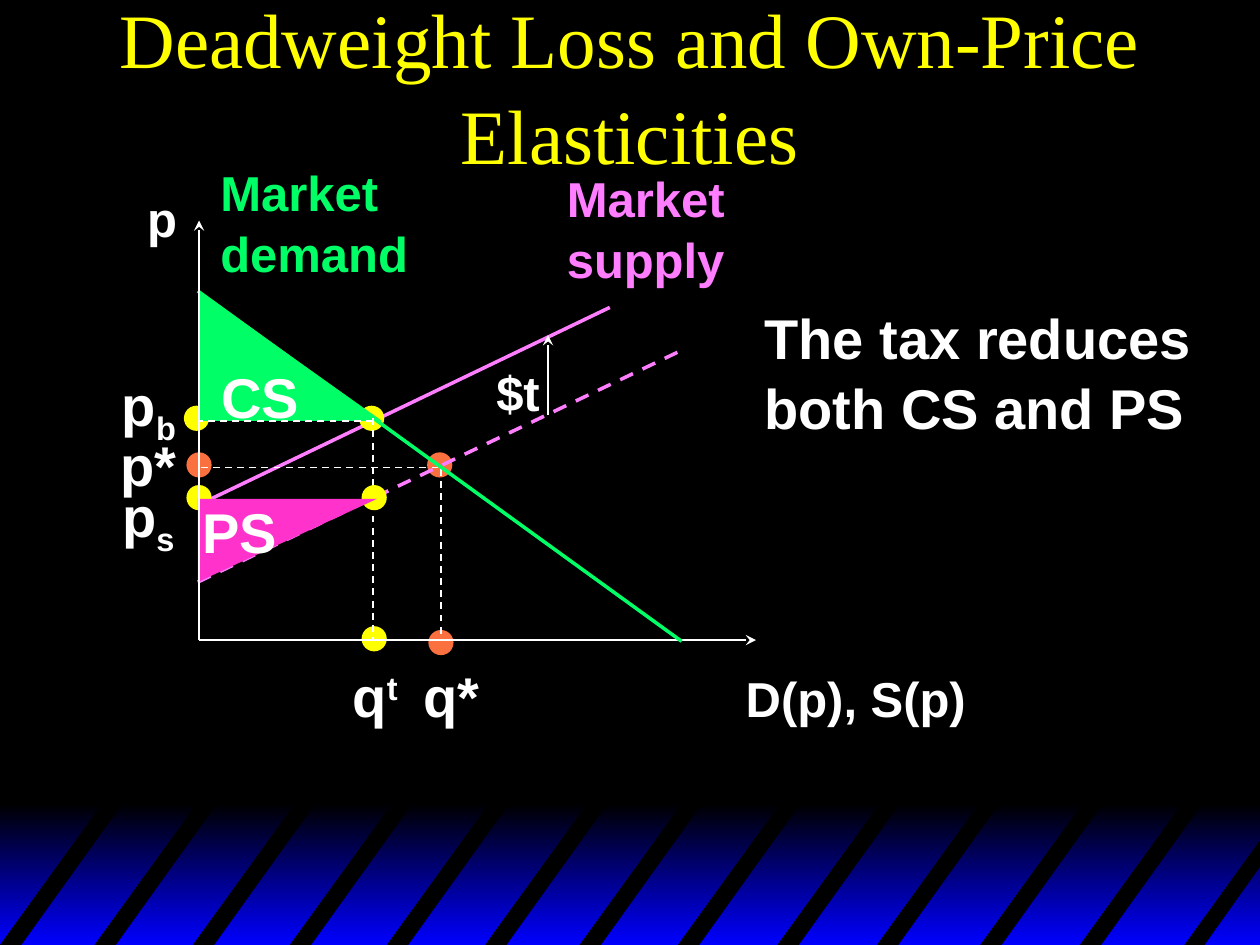
from dataclasses import dataclass

import pptx
import pptx.dml.color
import pptx.enum.dml
import pptx.enum.shapes
import pptx.enum.text
import pptx.oxml.ns
import pptx.util
from lxml import etree
from pptx.util import Inches

SHAPE = pptx.enum.shapes.MSO_SHAPE


@dataclass(frozen=True)
class Theme:
    black: str = "000000"
    blue: str = "0000FF"
    white: str = "FFFFFF"
    yellow: str = "FFFF00"
    orange: str = "FA703F"
    green: str = "00FF66"
    pink: str = "FF7DFF"
    magenta: str = "FF33CC"
    title_font: str = "Times New Roman"
    label_font: str = "Arial"
    title_size: int = 44
    large: int = 32
    small: int = 28
    line_spacing: float = 1.04


THEME = Theme()


@dataclass(frozen=True)
class Dot:
    left: float
    top: float
    color: str = THEME.yellow
    size: float = 0.2


@dataclass(frozen=True)
class Line:
    start: tuple[float, float]
    end: tuple[float, float]
    color: str = THEME.white
    width: float = 1
    dashed: bool = False
    arrow: bool = False


@dataclass(frozen=True)
class Region:
    left: float
    top: float
    width: float
    height: float
    color: str
    rotation: float = 0


@dataclass(frozen=True)
class Label:
    text: str
    left: float
    top: float
    width: float
    height: float = 0.63
    size: int = THEME.large
    color: str = THEME.white
    script: str = ""
    baseline: int = 0


# Diagram parts, from back to front
DIAGRAM = [
    Dot(3.39, 3.59, THEME.orange),
    Dot(1.48, 3.59, THEME.orange),
    Dot(3.4, 5, THEME.orange),
    # Supply with the tax, and the size of the tax
    Line((1.57, 4.01), (4.84, 2.44), THEME.pink, 2),
    Line((4.35, 3.29), (4.35, 2.66), arrow=True),
    Label("$t", 3.84, 2.81, 0.55, 0.57, THEME.small),
    Dot(2.85, 3.22),
    Dot(2.87, 4.97),
    Dot(1.46, 3.22),
    Label("q", 2.7, 5.18, 0.56, script="t", baseline=30),
    Dot(1.48, 3.85),
    # Consumer surplus and the conclusion
    Region(1.58, 2.31, 1.45, 1.03, THEME.green),
    Label("CS", 1.66, 2.81, 0.82),
    Label("The tax reduces\nboth CS and PS", 5.97, 2.34, 3.59, 1.17),
    # Quantity axis and untaxed equilibrium
    Line((1.58, 5.08), (6, 5.08), arrow=True),
    Line((3.5, 3.72), (3.5, 5.09), dashed=True),
    Line((3.48, 3.71), (1.57, 3.71), dashed=True),
    Label("p", 1.07, 1.43, 0.44, 0.57, THEME.small),
    Label("D(p), S(p)", 5.82, 5.24, 1.95, 0.57, THEME.small),
    Label("Market\ndemand", 1.65, 1.22, 1.69, 1.04, THEME.small, THEME.green),
    Label("Market\nsupply", 4.4, 1.27, 1.45, 1.04, THEME.small, THEME.pink),
    # Supply and demand curves
    Line((1.57, 4.62), (5.39, 2.79), THEME.pink, 2, dashed=True),
    Line((1.57, 2.31), (5.41, 5.09), THEME.green, 2),
    Label("p*", 0.86, 3.35, 0.65),
    Label("q*", 3.26, 5.18, 0.65),
    # Taxed equilibrium
    Line((2.96, 3.34), (1.57, 3.34), dashed=True),
    Line((2.96, 3.32), (2.96, 5.09), dashed=True),
    Label("p", 0.87, 2.87, 0.63, 0.71, script="b", baseline=-25),
    Label("p", 0.87, 3.75, 0.62, 0.71, script="s", baseline=-25),
    Dot(2.87, 3.85),
    Line((2.96, 3.97), (1.57, 3.97), dashed=True),
    # Producer surplus and price axis
    Region(1.95, 3.58, 0.66, 1.42, THEME.magenta, 90),
    Label("PS", 1.51, 3.88, 0.8),
    Line((1.58, 5.08), (1.58, 1.75), arrow=True),
]

STRIPE_LEFTS = (0, 0.75, 1.53, 2.3, 3.07, 3.85, 4.6, 5.38, 6.17, 6.96, 7.78, 8.57)


def rgb(color: str) -> pptx.dml.color.RGBColor:
    return pptx.dml.color.RGBColor.from_string(color)


def paint(shape, color: str) -> None:
    shape.fill.solid()
    shape.fill.fore_color.rgb = rgb(color)
    shape.line.fill.background()
    shape.shadow.inherit = False


def draw_stripe(slide, corners: list[tuple[float, float]]) -> None:
    points = [(Inches(x), Inches(y)) for x, y in corners]
    builder = slide.shapes.build_freeform(*points[0])
    builder.add_line_segments(points[1:])
    paint(builder.convert_to_shape(), THEME.black)


def draw_footer(slide) -> None:
    band = slide.shapes.add_shape(SHAPE.RECTANGLE, 0, Inches(6.38), Inches(10), Inches(1.12))
    paint(band, THEME.black)
    band.fill.gradient()
    band.fill.gradient_angle = 270
    for stop, color in zip(band.fill.gradient_stops, (THEME.black, THEME.blue)):
        stop.color.rgb = rgb(color)
    for left in STRIPE_LEFTS:
        draw_stripe(slide, [(left, 7.5), (left + 0.84, 6.34), (left + 1, 6.34), (left + 0.17, 7.5)])
    # The last stripe ends at the slide edge
    draw_stripe(slide, [(9.4, 7.5), (10, 6.67), (10, 6.88), (9.56, 7.5)])


def draw_dot(slide, dot: Dot) -> None:
    size = Inches(dot.size)
    paint(slide.shapes.add_shape(SHAPE.OVAL, Inches(dot.left), Inches(dot.top), size, size), dot.color)


def draw_region(slide, region: Region) -> None:
    shape = slide.shapes.add_shape(SHAPE.RIGHT_TRIANGLE, Inches(region.left), Inches(region.top),
                                   Inches(region.width), Inches(region.height))
    shape.rotation = region.rotation
    paint(shape, region.color)


def draw_line(slide, line: Line) -> None:
    qn = pptx.oxml.ns.qn
    ends = [Inches(value) for value in line.start + line.end]
    connector = slide.shapes.add_connector(pptx.enum.shapes.MSO_CONNECTOR.STRAIGHT, *ends)
    connector.line.color.rgb = rgb(line.color)
    connector.line.width = pptx.util.Pt(line.width)
    if line.dashed:
        connector.line.dash_style = pptx.enum.dml.MSO_LINE.DASH
    properties = connector._element.spPr
    if line.arrow:
        etree.SubElement(properties.find(qn("a:ln")), qn("a:tailEnd"), type="stealth")
    etree.SubElement(properties, qn("a:effectLst"))


def set_font(font, name: str, size: int, color: str, bold: bool) -> None:
    font.name, font.size, font.bold = name, pptx.util.Pt(size), bold
    font.color.rgb = rgb(color)


def draw_label(slide, label: Label) -> None:
    box = slide.shapes.add_textbox(Inches(label.left), Inches(label.top),
                                   Inches(label.width), Inches(label.height))
    box.text_frame.word_wrap = False
    box.text_frame.auto_size = pptx.enum.text.MSO_AUTO_SIZE.SHAPE_TO_FIT_TEXT
    paragraph = box.text_frame.paragraphs[0]
    paragraph.text = label.text
    paragraph.line_spacing = THEME.line_spacing
    set_font(paragraph.font, THEME.label_font, label.size, label.color, True)
    if label.script:
        run = paragraph.add_run()
        run.text = label.script
        run._r.get_or_add_rPr().set("baseline", str(label.baseline * 1000))


def draw_title(slide, text: str) -> None:
    title = slide.shapes.title
    title.left, title.top, title.width, title.height = 0, 0, Inches(10), Inches(1.33)
    title.text_frame.auto_size = pptx.enum.text.MSO_AUTO_SIZE.NONE
    paragraph = title.text_frame.paragraphs[0]
    paragraph.text = text
    paragraph.line_spacing = THEME.line_spacing
    set_font(paragraph.font, THEME.title_font, THEME.title_size, THEME.yellow, False)


DRAW = {Dot: draw_dot, Region: draw_region, Line: draw_line, Label: draw_label}


def main() -> None:
    presentation = pptx.Presentation()
    presentation.slide_width, presentation.slide_height = Inches(10), Inches(7.5)
    slide = presentation.slides.add_slide(presentation.slide_layouts[5])
    slide.background.fill.solid()
    slide.background.fill.fore_color.rgb = rgb(THEME.black)
    draw_footer(slide)
    draw_title(slide, "Deadweight Loss and Own-Price Elasticities")
    for part in DIAGRAM:
        DRAW[type(part)](slide, part)
    presentation.save("out.pptx")


if __name__ == "__main__":
    main()
